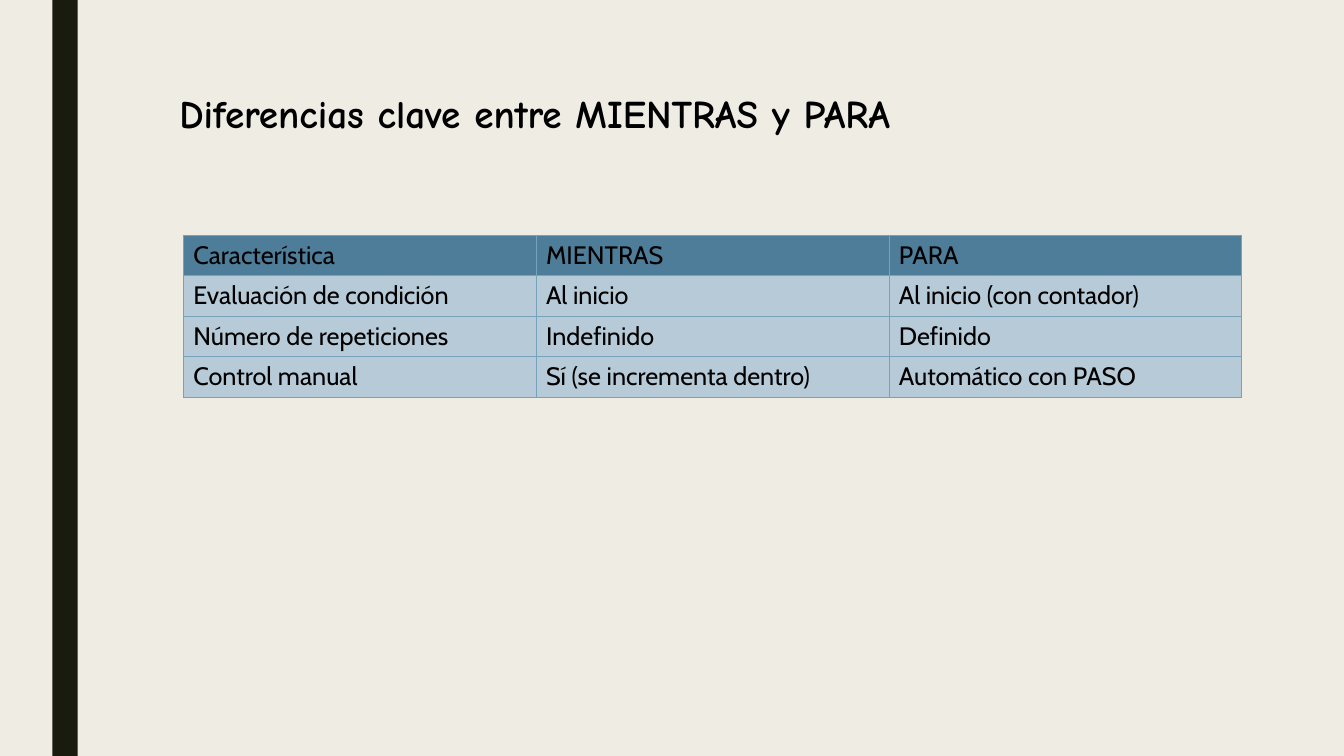
from lxml.etree import SubElement
from pptx import Presentation
from pptx.dml.color import RGBColor
from pptx.enum.shapes import MSO_SHAPE
from pptx.enum.text import MSO_ANCHOR, MSO_AUTO_SIZE
from pptx.oxml.ns import qn
from pptx.util import Cm, Pt

CREAM = RGBColor(0xEF, 0xED, 0xE3)
DARK_OLIVE = RGBColor(0x19, 0x1B, 0x0E)
BLACK = RGBColor(0x00, 0x00, 0x00)
HEADER_BLUE = RGBColor(0x4D, 0x7D, 0x99)
BODY_BLUE = RGBColor(0xB6, 0xCA, 0xD7)
BORDER_BLUE = RGBColor(0x77, 0xA2, 0xBB)

SLIDE_WIDTH, SLIDE_HEIGHT = 33.87, 19.05
COLUMN_WIDTH, ROW_HEIGHT = 8.89, 1.02

TITLE_FONT = {"name": "Comic Neue", "size": Pt(28), "bold": True}
CELL_FONT = {"name": "Cabin", "size": Pt(18), "bold": False}
TITLE_SPACING = {"line_spacing": 1.15, "space_after": Pt(8)}

COMPARISON = [
    ("Característica", "MIENTRAS", "PARA"),
    ("Evaluación de condición", "Al inicio", "Al inicio (con contador)"),
    ("Número de repeticiones", "Indefinido", "Definido"),
    ("Control manual", "Sí (se incrementa dentro)", "Automático con PASO"),
]


def apply_format(target, values):
    for attribute, value in values.items():
        setattr(target, attribute, value)


class SlideBuilder:
    def __init__(self, slide, text_color, border_color):
        self.slide = slide
        self.text_color = text_color
        self.border_color = border_color

    def background(self, color):
        fill = self.slide.background.fill
        fill.solid()
        fill.fore_color.rgb = color

    def bar(self, left, top, width, height, color):
        bar = self.slide.shapes.add_shape(
            MSO_SHAPE.RECTANGLE, Cm(left), Cm(top), Cm(width), Cm(height))
        bar.shadow.inherit = False
        bar.fill.solid()
        bar.fill.fore_color.rgb = color
        bar.line.fill.background()

    def add_text(self, paragraph, text, font):
        run = paragraph.add_run()
        run.text = text
        apply_format(run.font, font)
        run.font.color.rgb = self.text_color

    def title(self, left, top, width, height, text):
        box = self.slide.shapes.add_textbox(Cm(left), Cm(top), Cm(width), Cm(height))
        frame = box.text_frame
        apply_format(frame, {"word_wrap": False, "auto_size": MSO_AUTO_SIZE.SHAPE_TO_FIT_TEXT})
        paragraph = frame.paragraphs[0]
        apply_format(paragraph, TITLE_SPACING)
        self.add_text(paragraph, text, TITLE_FONT)

    def cell_borders(self, cell):
        properties = cell._tc.get_or_add_tcPr()
        for position, side in enumerate(("a:lnL", "a:lnR", "a:lnT", "a:lnB")):
            border = SubElement(properties, qn(side), w=str(Pt(0.5)))
            fill = SubElement(border, qn("a:solidFill"))
            SubElement(fill, qn("a:srgbClr"), val=str(self.border_color))
            # Borders must come before the cell fill in the schema order
            properties.insert(position, border)

    def table(self, left, top, rows):
        columns = len(rows[0])
        table = self.slide.shapes.add_table(
            len(rows), columns, Cm(left), Cm(top),
            Cm(COLUMN_WIDTH * columns), Cm(ROW_HEIGHT * len(rows))).table
        for column in table.columns:
            column.width = Cm(COLUMN_WIDTH)
        for row_index, texts in enumerate(rows):
            table.rows[row_index].height = Cm(ROW_HEIGHT)
            for column_index, text in enumerate(texts):
                cell = table.cell(row_index, column_index)
                cell.vertical_anchor = MSO_ANCHOR.MIDDLE
                cell.fill.solid()
                cell.fill.fore_color.rgb = BODY_BLUE if row_index else HEADER_BLUE
                self.add_text(cell.text_frame.paragraphs[0], text, CELL_FONT)
                self.cell_borders(cell)


def main():
    presentation = Presentation()
    presentation.slide_width = Cm(SLIDE_WIDTH)
    presentation.slide_height = Cm(SLIDE_HEIGHT)
    slide = presentation.slides.add_slide(presentation.slide_layouts[6])

    builder = SlideBuilder(slide, BLACK, BORDER_BLUE)
    builder.background(CREAM)
    builder.bar(1.32, 0, 0.64, SLIDE_HEIGHT, DARK_OLIVE)
    builder.title(4.27, 1.96, 18.47, 1.55, "Diferencias clave entre MIENTRAS y PARA")
    builder.table(4.62, 5.92, COMPARISON)
    presentation.save("out.pptx")


if __name__ == "__main__":
    main()
